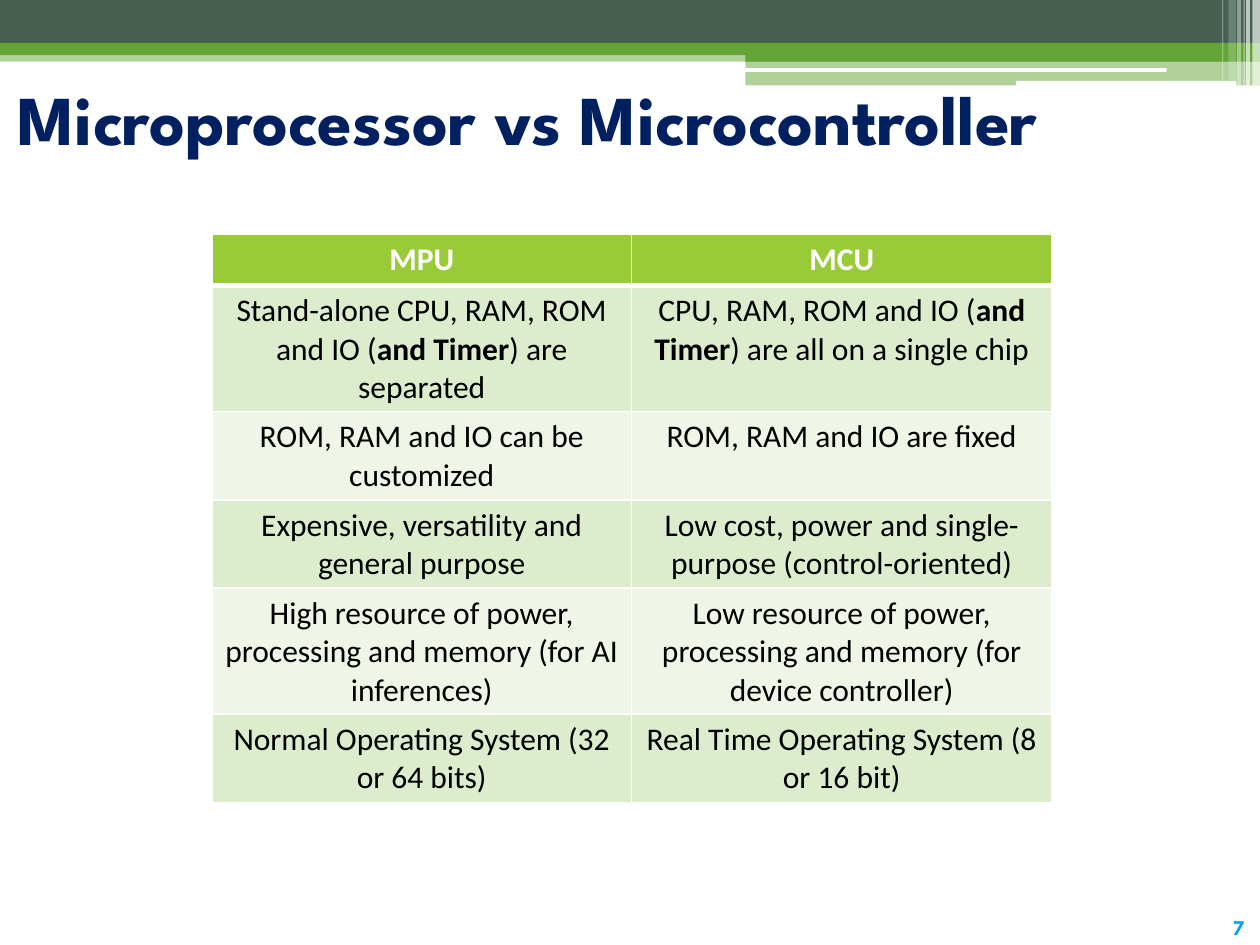
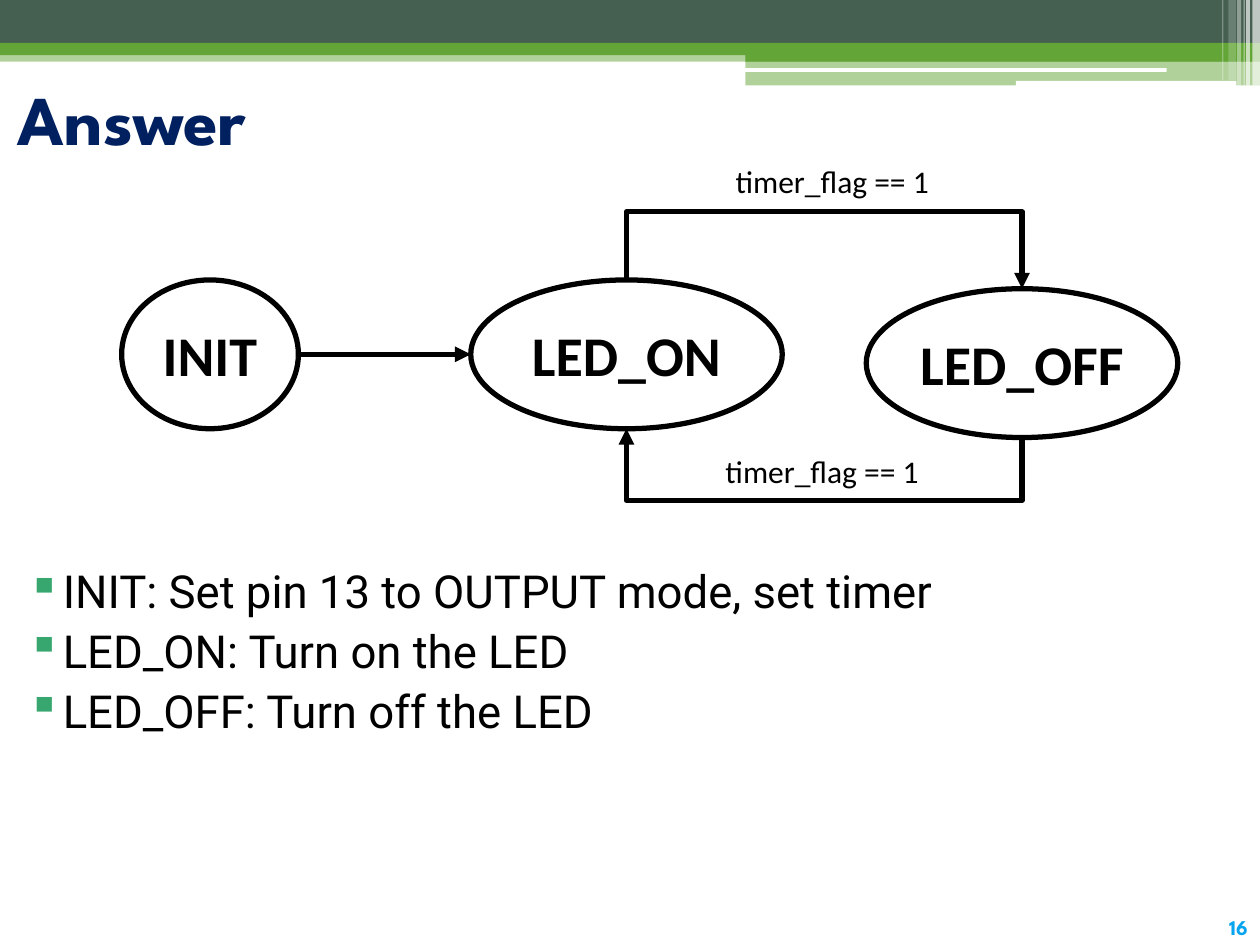
from dataclasses import dataclass

import pptx
import pptx.dml.color
import pptx.enum.shapes
import pptx.enum.text
import pptx.oxml
import pptx.oxml.ns
import pptx.util
from lxml import etree

Pt = pptx.util.Pt
qn = pptx.oxml.ns.qn
Shape = pptx.enum.shapes.MSO_SHAPE
Link = pptx.enum.shapes.MSO_CONNECTOR
Align = pptx.enum.text.PP_ALIGN
Anchor = pptx.enum.text.MSO_ANCHOR


@dataclass(frozen=True)
class Theme:
    slate: str = "455F51"
    green: str = "63A537"
    lime: str = "99CB38"
    mint: str = "DEECCE"
    pale: str = "EFF6E8"
    leaf: str = "37A76F"
    navy: str = "002060"
    sky: str = "08A5EF"
    white: str = "FFFFFF"
    black: str = "000000"
    head: str = "League Spartan"
    text: str = "Calibri"
    body: str = "Roboto"
    title_size: int = 40
    state_size: int = 32
    body_size: int = 26
    cell_size: int = 18
    page_size: int = 12
    stroke: int = 3


T = Theme()

# left, top, width, height, colour, opacity in percent
BANDS = [
    (0, 28.8, 720, 6.5, T.green, 50),
    (0, 0, 720, 24.5, T.slate, 100),
    (0, 24.5, 720, 7, T.green, 100),
    (426, 28, 294, 7.2, T.green, 100),
    (426, 34.8, 294, 14, T.green, 50),
]
PILLS = [(425.5, 38.9, 241.2, 2.2), (580.5, 46.2, 126, 2.8)]
# left, width, height, opacity in percent
STRIPES = [
    (715.7, 4.3, 49, 65),
    (712.1, 2.2, 49, 65),
    (710.6, 0.7, 49, 60),
    (707, 2.2, 49, 40),
    (702, 4.3, 46, 20),
    (698.4, 0.7, 46, 30),
]

ROWS = [
    ("MPU", "MCU"),
    ("Stand-alone CPU, RAM, ROM and IO (*and Timer*) are separated",
     "CPU, RAM, ROM and IO (*and Timer*) are all on a single chip"),
    ("ROM, RAM and IO can be customized", "ROM, RAM and IO are fixed"),
    ("Expensive, versatility and general purpose",
     "Low cost, power and single-purpose (control-oriented)"),
    ("High resource of power, processing and memory (for AI inferences)",
     "Low resource of power, processing and memory (for device controller)"),
    ("Normal Operating System (32 or 64 bits)",
     "Real Time Operating System (8 or 16 bit)"),
]

TASKS = [
    "INIT: Set pin 13 to OUTPUT mode, set timer",
    "LED_ON: Turn on the LED",
    "LED_OFF: Turn off the LED",
]


def rgb(code):
    return pptx.dml.color.RGBColor.from_string(code)


def sub(node, tag, **attrs):
    return etree.SubElement(node, qn(tag), **attrs)


def add_run(para, text, size, font, color, bold=False):
    run = para.add_run()
    run.text = text
    run.font.size = Pt(size)
    run.font.name = font
    run.font.bold = bold
    run.font.color.rgb = rgb(color)


def add_shape(slide, kind, box, fill=None, alpha=100):
    shape = slide.shapes.add_shape(kind, *map(Pt, box))
    shape.shadow.inherit = False
    shape.line.fill.background()
    if fill is None:
        shape.fill.background()
        return shape
    shape.fill.solid()
    shape.fill.fore_color.rgb = rgb(fill)
    if alpha < 100:
        tone = next(shape.fill._xPr.iter(qn("a:srgbClr")))
        sub(tone, "a:alpha", val=str(alpha * 1000))
    return shape


def add_box(slide, box, wrap=True):
    frame = slide.shapes.add_textbox(*map(Pt, box)).text_frame
    frame.word_wrap = wrap
    return frame


def add_frame(slide, title, page):
    """Draw the bands, title and page number that all slides share."""
    for *box, color, alpha in BANDS:
        add_shape(slide, Shape.RECTANGLE, box, color, alpha)
    for box in PILLS:
        add_shape(slide, Shape.ROUNDED_RECTANGLE, box, T.white)
    for left, width, height, alpha in STRIPES:
        add_shape(slide, Shape.RECTANGLE, (left, 0, width, height), T.white, alpha)

    para = add_box(slide, (694, 519, 27.5, 21.6), wrap=False).paragraphs[0]
    para.alignment = Align.CENTER
    add_run(para, str(page), T.page_size, T.head, T.sky, True)

    frame = add_box(slide, (3, 37.5, 709, 59))
    frame.vertical_anchor = Anchor.MIDDLE
    add_run(frame.paragraphs[0], title, T.title_size, T.head, T.navy, True)


def set_edges(cell, top, foot):
    props = cell._tc.get_or_add_tcPr()
    for side, width in (("L", 1), ("R", 1), ("T", top), ("B", foot)):
        edge = sub(props, f"a:ln{side}", w=str(Pt(width)))
        sub(sub(edge, "a:solidFill"), "a:srgbClr", val=T.white)


def fill_cell(cell, text, row):
    """Write one cell; words between asterisks are bold."""
    first = row == 0
    set_edges(cell, 3 if row == 1 else 1, 3 if first else 1)
    cell.fill.solid()
    cell.fill.fore_color.rgb = rgb(T.lime if first else T.mint if row % 2 else T.pale)
    para = cell.text_frame.paragraphs[0]
    para.alignment = Align.CENTER
    for num, part in enumerate(text.split("*")):
        add_run(para, part, T.cell_size, T.text,
                T.white if first else T.black, first or num % 2 == 1)


def add_grid(slide, rows, left, top, width, pitch):
    count = len(rows[0])
    grid = slide.shapes.add_table(len(rows), count, Pt(left), Pt(top),
                                  Pt(width), Pt(pitch * len(rows))).table
    grid.horz_banding = False
    for row, texts in enumerate(rows):
        for col, text in enumerate(texts):
            fill_cell(grid.cell(row, col), text, row)


def add_state(slide, name, box):
    shape = add_shape(slide, Shape.OVAL, box)
    shape.line.width = Pt(T.stroke)
    shape.line.color.rgb = rgb(T.black)
    frame = shape.text_frame
    frame.margin_left = frame.margin_right = 0
    frame.vertical_anchor = Anchor.MIDDLE
    para = frame.paragraphs[0]
    para.alignment = Align.CENTER
    add_run(para, name, T.state_size, T.text, T.black, True)


def add_arrow(slide, kind, start, end):
    arrow = slide.shapes.add_connector(kind, *map(Pt, (*start, *end)))
    arrow.line.width = Pt(T.stroke)
    arrow.line.color.rgb = rgb(T.black)
    sub(arrow.line._get_or_add_ln(), "a:tailEnd", type="triangle")
    sub(arrow._element.spPr, "a:effectLst")
    return arrow


def add_loop(slide, start, end, level):
    """Bent arrow that leaves and enters upright, crossing at height level."""
    (x1, y1), (x2, y2) = start, end
    wide, high = abs(y2 - y1), abs(x2 - x1)
    left, top = (x1 + x2 - wide) / 2, (y1 + y2 - high) / 2
    arrow = add_arrow(slide, Link.ELBOW, (left, top), (left + wide, top + high))
    props = arrow._element.spPr
    turn = 270 if level < y1 else 90
    frame = props.find(qn("a:xfrm"))
    frame.set("rot", str(turn * 60000))
    frame.set("flipH", "1")
    bend = round((level - y1) / (y2 - y1) * 100000)
    guides = props.find(qn("a:prstGeom")).get_or_add_avLst()
    sub(guides, "a:gd", name="adj1", fmla=f"val {bend}")


def add_label(slide, text, left, top):
    para = add_box(slide, (left, top, 126.7, 29), wrap=False).paragraphs[0]
    add_run(para, text, T.cell_size, T.text, T.black)


def add_list(slide, items, box):
    frame = add_box(slide, box)
    for num, item in enumerate(items):
        para = frame.add_paragraph() if num else frame.paragraphs[0]
        para.space_before = Pt(3)
        props = para._p.get_or_add_pPr()
        props.set("marL", str(Pt(28.8)))
        props.set("indent", str(-Pt(20.2)))
        sub(sub(props, "a:buClr"), "a:srgbClr", val=T.leaf)
        sub(props, "a:buChar", char="▪")
        add_run(para, item, T.body_size, T.body, T.black)


def add_chips(slide):
    add_frame(slide, "Microprocessor vs Microcontroller", 7)
    add_grid(slide, ROWS, 121, 134, 480, 29.2)


def add_answer(slide):
    add_frame(slide, "Answer", 16)
    add_list(slide, TASKS, (0, 318.2, 709, 152.6))

    high, wide = 85, 178
    on_left, on_top = 269, 160
    off_left, off_top = 495, 165
    on_mid, off_mid = on_left + wide / 2, off_left + wide / 2
    axis = on_top + high / 2
    add_state(slide, "INIT", (69.5, on_top, 101, high))
    add_state(slide, "LED_ON", (on_left, on_top, wide, high))
    add_state(slide, "LED_OFF", (off_left, off_top, wide, high))

    add_arrow(slide, Link.STRAIGHT, (170.5, axis), (on_left, axis))
    add_loop(slide, (on_mid, on_top), (off_mid, off_top), 121)
    add_loop(slide, (off_mid, off_top + high), (on_mid, on_top + high), 286)
    for left, top in ((413.3, 89.3), (407.5, 254.9)):
        add_label(slide, "timer_flag == 1", left, top)


def main():
    deck = pptx.Presentation()
    deck.slide_width, deck.slide_height = Pt(720), Pt(540)
    for build in (add_chips, add_answer):
        build(deck.slides.add_slide(deck.slide_layouts[6]))
    deck.save("out.pptx")


if __name__ == "__main__":
    main()
